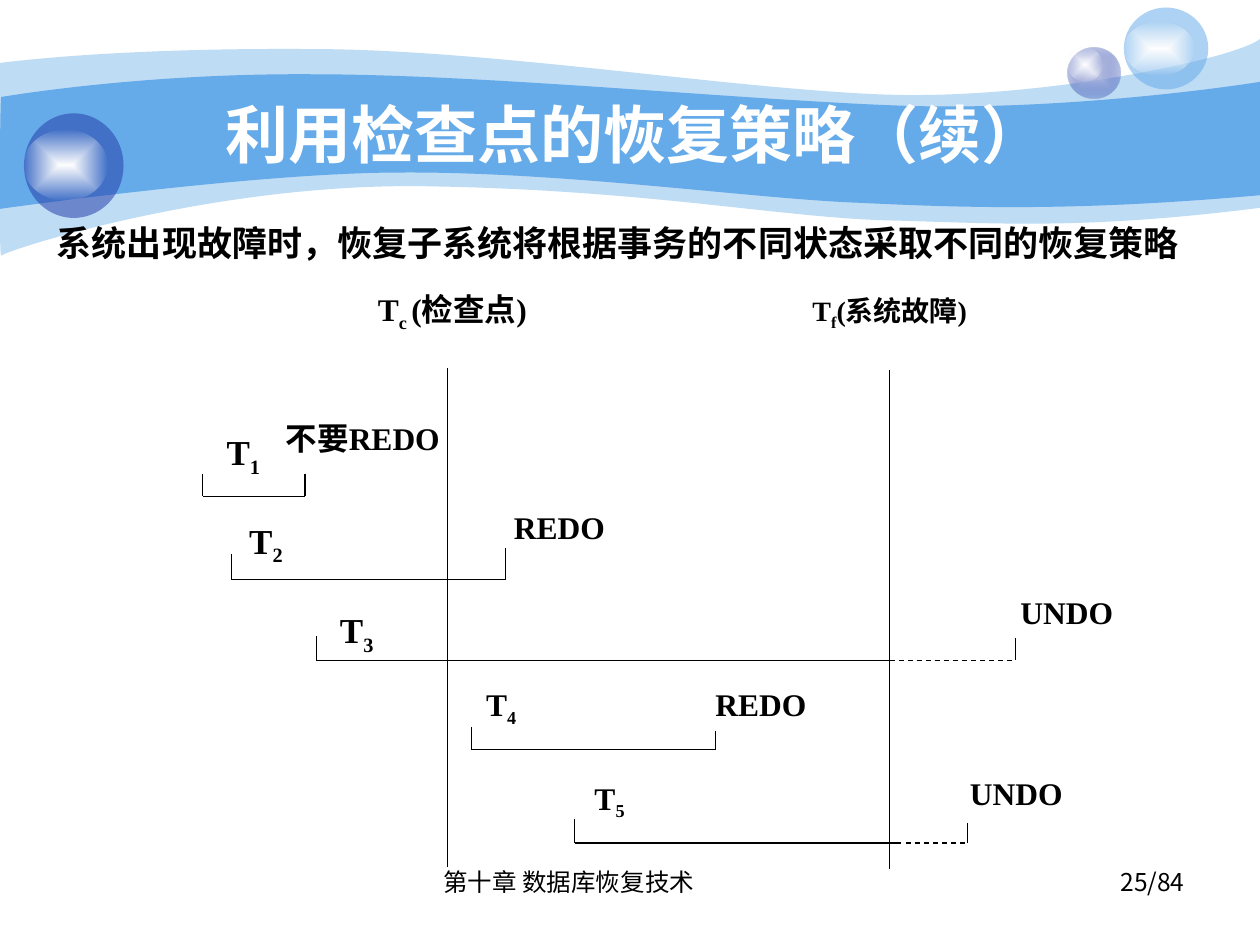
from lxml.etree import SubElement
from pptx import Presentation
from pptx.dml.color import RGBColor
from pptx.enum.dml import MSO_LINE
from pptx.enum.shapes import MSO_CONNECTOR, MSO_SHAPE
from pptx.enum.text import MSO_ANCHOR, PP_ALIGN
from pptx.oxml.ns import qn
from pptx.util import Inches, Pt

COLORS = {"sky": "65AAE9", "navy": "233DA9", "lilac": "C7CEE9",
          "white": "FFFFFF", "ink": "000000"}
SERIF, SANS, CJK = "Times New Roman", "Arial", "Noto Sans CJK SC"


def rgb(name):
    return RGBColor.from_string(COLORS[name])


def set_alpha(color_element, percent):
    SubElement(color_element, qn("a:alpha")).set("val", str(percent * 1000))


def fill_solid(shape, color, opacity=100):
    shape.shadow.inherit = False
    shape.line.fill.background()
    shape.fill.solid()
    shape.fill.fore_color.rgb = rgb(color)
    if opacity < 100:
        set_alpha(shape.fill._xPr.find(".//" + qn("a:srgbClr")), opacity)


def fill_glow(shape, center, edge, edge_opacity):
    """Rectangular gradient from the centre to a translucent edge."""
    shape.shadow.inherit = False
    shape.line.fill.background()
    shape.fill.gradient()
    for stop, color in zip(shape.fill.gradient_stops, (center, edge)):
        stop.color.rgb = rgb(color)
    gradient = shape.fill._xPr.find(qn("a:gradFill"))
    set_alpha(gradient.findall(".//" + qn("a:srgbClr"))[1], edge_opacity)
    gradient.remove(gradient.find(qn("a:lin")))
    rect_path = SubElement(gradient, qn("a:path"), {"path": "rect"})
    SubElement(rect_path, qn("a:fillToRect"), dict.fromkeys("ltrb", "50000"))


def add_text(slide, box, runs, size, font=SERIF, color="ink", bold=True,
             align=PP_ALIGN.LEFT, anchor=MSO_ANCHOR.TOP):
    """Each run is a (text, is_subscript) pair."""
    frame = slide.shapes.add_textbox(*map(Inches, box)).text_frame
    frame.word_wrap = True
    frame.vertical_anchor = anchor
    paragraph = frame.paragraphs[0]
    paragraph.alignment = align
    for text, subscript in runs:
        run = paragraph.add_run()
        run.text = text
        run.font.size, run.font.bold, run.font.name = Pt(size), bold, font
        run.font.color.rgb = rgb(color)
        properties = run.font._element
        SubElement(properties, qn("a:ea")).set("typeface", CJK)
        if subscript:
            properties.set("baseline", "-25000")


def add_line(slide, x1, y1, x2, y2, width=0.75, dashed=False):
    line = slide.shapes.add_connector(MSO_CONNECTOR.STRAIGHT, *map(Inches, (x1, y1, x2, y2)))
    line.line.color.rgb = rgb("ink")
    line.line.width = Pt(width)
    if dashed:
        line.line.dash_style = MSO_LINE.DASH
    SubElement(line._element.spPr, qn("a:effectLst"))


def add_wave(slide, left, top, start, segments, opacity=100):
    """A segment of six numbers is a cubic curve, one of two a straight line."""
    def place(x, y):
        return Inches(left + x), Inches(top + y)

    points = [place(*segment[i:i + 2]) for segment in segments
              for i in range(0, len(segment), 2)]
    builder = slide.shapes.build_freeform(*place(*start))
    builder.add_line_segments(points, close=True)
    wave = builder.convert_to_shape()
    # Join each three points of a curved segment into one cubic curve
    legs = iter(wave._element.findall(".//" + qn("a:lnTo")))
    for segment in segments:
        first = next(legs)
        if len(segment) == 6:
            first.tag = qn("a:cubicBezTo")
            for leg in (next(legs), next(legs)):
                first.append(leg[0])
                leg.getparent().remove(leg)
    fill_solid(wave, "sky", opacity)


def add_ball(slide, left, top, width, height, color, shine):
    def ellipse(*box):
        return slide.shapes.add_shape(MSO_SHAPE.OVAL, *map(Inches, box))

    ball = ellipse(left, top, width, height)
    if color == "lilac":
        fill_glow(ball, "lilac", "navy", 31)
    else:
        fill_solid(ball, color, 53)
    drop, shine_width, shine_height = shine
    fill_glow(ellipse(left, top + drop, shine_width, shine_height), "white", "white", 0)


def add_banner(slide, left, top):
    # Pale outer wave, then the stronger inner wave
    add_wave(slide, left, top, (0, 0.5), [
        (0.24, 0.47, 1.07, 0.38, 2.47, 0.39), (3.86, 0.39, 5.75, 0.7, 6.99, 0.75),
        (8.22, 0.8, 9.8, 0.47, 10, 0.31), (10, 1.65),
        (8.58, 1.83, 7.87, 1.77, 7.05, 1.75), (6.22, 1.73, 5.15, 1.51, 3.43, 1.48),
        (1.72, 1.44, 0.04, 1.99, 0.01, 2.03), (-0.01, 2.08, 0, 0.75, 0, 0.5)], 41)
    add_wave(slide, left, top, (0.01, 0.77), [
        (0.02, 0.77, 1.1, 0.58, 2.48, 0.59), (3.86, 0.59, 5.95, 0.8, 7.18, 0.84),
        (8.41, 0.88, 9.76, 0.69, 10, 0.65), (10, 1.55),
        (8.53, 1.68, 7.65, 1.65, 6.82, 1.61), (5.99, 1.58, 4.47, 1.36, 3.17, 1.37),
        (2.03, 1.37, -0.02, 1.66, -0.01, 1.66), (0, 1.66, 0, 0.77, 0.01, 0.77)])
    # Glass balls
    add_ball(slide, left + 8.47, top + 0.38, 0.42, 0.4, "lilac", (0, 0.28, 0.27))
    add_ball(slide, left + 8.92, top + 0.06, 0.67, 0.65, "sky", (0.11, 0.56, 0.43))
    add_ball(slide, left + 0.19, top + 0.9, 0.79, 0.83, "navy", (0.13, 0.66, 0.56))
    # Title
    add_text(slide, (left + 1, top + 0.75, 8.08, 0.62), [("利用检查点的恢复策略（续）", False)],
             36, SANS, "white", align=PP_ALIGN.CENTER, anchor=MSO_ANCHOR.MIDDLE)


def add_transaction(slide, left, top, number, size, label_at, span, ticks,
                    outcome, outcome_at, dash=None):
    """A bracket for one transaction: span is (start, end, y), ticks their tops."""
    start, end, y = span
    add_line(slide, left + start, top + y, left + end, top + y)
    last = end
    if dash:
        dash_start, last = dash
        add_line(slide, left + dash_start, top + y, left + last, top + y, dashed=True)
    for x, tick_top in zip((start, last), ticks):
        add_line(slide, left + x, top + tick_top, left + x, top + y)
    for (x, y_text), runs, points in (
            (label_at, [("T", False), (str(number), True)], size),
            (outcome_at, [(outcome, False)], 18)):
        add_text(slide, (left + x, top + y_text, 1.56, 0.73), runs, points)


def add_timeline(slide, left, top):
    # Checkpoint and failure moments
    moments = [
        ("c ", "(检查点)", 18, (1.4, 0), (2.05, 0.67)),
        ("f", "(系统故障)", 16, (4.85, 0.03), (5.56, 0.69))]
    for subscript, meaning, size, (x, y), (line_x, line_y) in moments:
        add_text(slide, (left + x, top + y, 1.56, 0.73),
                 [("T", False), (subscript, True), (meaning, False)], size)
        add_line(slide, left + line_x, top + line_y, left + line_x, top + line_y + 3.96, 0.5)
    # Transactions: number, size, label, span, tick tops, outcome, its place, dashes
    transactions = [
        (1, 20, (0.2, 1.12), (0.11, 0.92, 1.69), (1.51, 1.51), "不要REDO", (0.67, 1.03)),
        (2, 20, (0.38, 1.82), (0.34, 2.51, 2.35), (2.15, 2.1), "REDO", (2.48, 1.73)),
        (3, 20, (1.1, 2.53), (1.01, 5.56, 2.99), (2.8, 2.81), "UNDO", (6.5, 2.41), (5.56, 6.56)),
        (4, 18, (2.26, 3.14), (2.24, 4.18, 3.7), (3.52, 3.55), "REDO", (4.08, 3.14)),
        (5, 18, (3.12, 3.88), (3.06, 5.65, 4.44), (4.25, 4.28), "UNDO", (6.1, 3.84), (5.69, 6.18))]
    for transaction in transactions:
        add_transaction(slide, left, top, *transaction)


def add_footer(slide, left, top):
    add_text(slide, (left, top, 3.17, 0.52), [("第十章 数据库恢复技术", False)],
             14, SANS, bold=False)
    add_text(slide, (left + 3.75, top, 2.33, 0.52), [("25/84", False)],
             14, CJK, bold=False, align=PP_ALIGN.RIGHT)


def main():
    presentation = Presentation()
    presentation.slide_width, presentation.slide_height = Inches(10), Inches(7.5)
    slide = presentation.slides.add_slide(presentation.slide_layouts[6])
    add_banner(slide, 0, 0)
    add_text(slide, (0, 1.71, 9.81, 0.44),
             [("系统出现故障时，恢复子系统将根据事务的不同状态采取不同的恢复策略", False)],
             20, align=PP_ALIGN.CENTER)
    add_timeline(slide, 1.5, 2.25)
    add_footer(slide, 3.42, 6.83)
    presentation.save("out.pptx")


if __name__ == "__main__":
    main()
